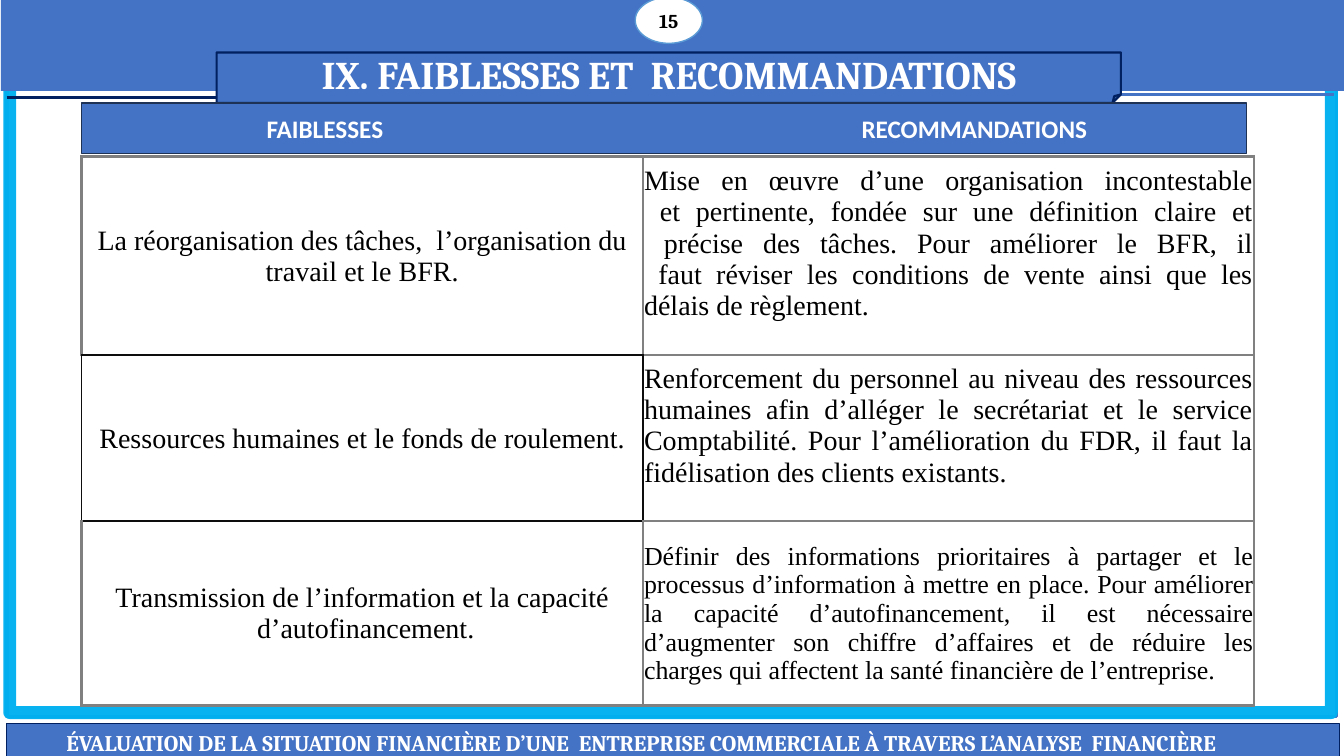
from dataclasses import dataclass

from lxml.etree import SubElement
from pptx import Presentation
from pptx.dml.color import RGBColor
from pptx.enum.shapes import MSO_CONNECTOR as CONN, MSO_SHAPE as SHAPE
from pptx.enum.text import MSO_ANCHOR as ANCHOR, PP_ALIGN as ALIGN
from pptx.oxml.ns import qn
from pptx.util import Pt


@dataclass(frozen=True)
class Theme:
    blue: str = "4472C4"
    navy: str = "002060"
    bar_edge: str = "1E3256"
    cyan: str = "00B0F0"
    badge_edge: str = "5B9BD5"
    grey: str = "808080"
    dark: str = "0D0D0D"
    white: str = "FFFFFF"
    black: str = "000000"
    serif: str = "Cambria"
    sans: str = "Calibri"
    body: str = "Times New Roman"
    title_size: float = 28
    body_size: float = 20
    small_body_size: float = 18.5
    heading_size: float = 18
    footer_size: float = 16
    badge_size: float = 14


T = Theme()

# Weakness, recommendation, recommendation size, row height, space below it
ROWS = [
    ("La réorganisation des tâches,  l’organisation du travail et le BFR.",
     "Mise en œuvre d’une organisation incontestable\n"
     " et pertinente, fondée sur une définition claire et\n"
     " précise des tâches. Pour améliorer le BFR, il\n"
     " faut réviser les conditions de vente ainsi que les délais de règlement.",
     T.body_size, 142, 18),
    ("Ressources humaines et le fonds de roulement.",
     "Renforcement du personnel au niveau des ressources humaines afin "
     "d’alléger le secrétariat et le service Comptabilité. Pour "
     "l’amélioration du FDR, il faut la fidélisation des clients existants.",
     T.body_size, 118.5, 18),
    ("Transmission de l’information et la capacité\n d’autofinancement.",
     "Définir des informations prioritaires à partager et le processus "
     "d’information à mettre en place. Pour améliorer la capacité "
     "d’autofinancement, il est nécessaire d’augmenter son chiffre "
     "d’affaires et de réduire les charges qui affectent la santé "
     "financière de l’entreprise.",
     T.small_body_size, 132, 0),
]
# Sides drawn thin and dark, by (row, column)
THIN_SIDES = {(0, 0): "B", (1, 0): "LRTB", (2, 0): "T", (1, 1): "L"}


def rgb(color):
    return RGBColor.from_string(color)


def add_box(slide, kind, box, fill=None, line=None, width=1):
    sp = slide.shapes.add_shape(kind, *map(Pt, box))
    sp.shadow.inherit = False
    if fill:
        sp.fill.solid()
        sp.fill.fore_color.rgb = rgb(fill)
    else:
        sp.fill.background()
    if line:
        sp.line.color.rgb = rgb(line)
        sp.line.width = Pt(width)
    else:
        sp.line.fill.background()
    return sp


def add_line(slide, start, end, color):
    cn = slide.shapes.add_connector(CONN.STRAIGHT, *map(Pt, start + end))
    cn.line.color.rgb = rgb(color)
    cn.line.width = Pt(2.25)
    SubElement(cn._element.spPr, qn("a:effectLst"))


def write(tf, text, font, size, color, bold=False, align=ALIGN.CENTER):
    """Fill the first paragraph, with a line break at each newline."""
    tf.word_wrap = True
    p = tf.paragraphs[0]
    p.alignment = align
    for i, part in enumerate(text.split("\n")):
        if i:
            p.add_line_break()
        r = p.add_run()
        r.text = part
        r.font.name = font
        r.font.size = Pt(size)
        r.font.bold = bold
        r.font.color.rgb = rgb(color)
    return p


def label(sp, text, font, size, color, align=ALIGN.CENTER):
    sp.text_frame.vertical_anchor = ANCHOR.MIDDLE
    return write(sp.text_frame, text, font, size, color, True, align)


def add_frame(slide, box):
    x, y, w, h = box
    add_box(slide, SHAPE.RECTANGLE, (x - 2, y + 18, w + 6, h - 15),
            line=T.blue, width=2.25)
    border = add_box(slide, SHAPE.RECTANGLE, box, line=T.cyan, width=9.25)
    color = border.line._ln.find(".//" + qn("a:srgbClr"))
    SubElement(color, qn("a:alpha"), val="97000")


def add_header(slide, box):
    x, y, w, h = box
    rule_y = y + h + 2.5
    add_line(slide, (x + 685, rule_y), (x + 952, rule_y), T.blue)
    add_line(slide, (x + 4, rule_y + 2), (x + 215, rule_y + 2), T.navy)
    add_box(slide, SHAPE.RECTANGLE, box, T.blue)
    title = add_box(slide, SHAPE.FOLDED_CORNER, (x + 154, y + 40.5, 646, 36),
                    T.blue, T.navy, 1.5)
    label(title, "IX. FAIBLESSES ET  RECOMMANDATIONS",
          T.serif, T.title_size, T.white)
    badge = add_box(slide, SHAPE.OVAL, (x + 453, y + 1, 48, 33),
                    T.white, T.badge_edge)
    label(badge, "15", T.serif, T.badge_size, T.black)


def add_headings(slide, box):
    bar = add_box(slide, SHAPE.RECTANGLE, box, T.blue, T.bar_edge)
    p = label(bar, "\tFAIBLESSES\tRECOMMANDATIONS",
              T.sans, T.heading_size, T.white, ALIGN.LEFT)
    tabs = SubElement(p._p.get_or_add_pPr(), qn("a:tabLst"))
    for stop in (125, 550):
        SubElement(tabs, qn("a:tab"), pos=str(Pt(stop)), algn="l")


def set_borders(cell, thin):
    tc_pr = cell._tc.get_or_add_tcPr()
    for side in "LRTB":
        color, width = (T.dark, 1) if side in thin else (T.grey, 2.25)
        ln = SubElement(tc_pr, qn("a:ln" + side), w=str(Pt(width)))
        fill = SubElement(ln, qn("a:solidFill"))
        SubElement(fill, qn("a:srgbClr"), val=color)


def add_findings(slide, box):
    x, y, w, h = box
    tbl = slide.shapes.add_table(len(ROWS), 2, *map(Pt, box)).table
    tbl.first_row = tbl.horz_banding = False
    tbl.columns[0].width = Pt(401)
    tbl.columns[1].width = Pt(w - 401)
    for i, (weakness, advice, size, height, below) in enumerate(ROWS):
        tbl.rows[i].height = Pt(height)
        parts = ((weakness, T.body_size, ALIGN.CENTER, 0),
                 (advice, size, ALIGN.JUSTIFY, below))
        for j, (text, text_size, align, bottom) in enumerate(parts):
            cell = tbl.cell(i, j)
            cell.margin_left = cell.margin_right = cell.margin_top = Pt(0.75)
            cell.margin_bottom = Pt(bottom)
            cell.vertical_anchor = ANCHOR.MIDDLE
            set_borders(cell, THIN_SIDES.get((i, j), ""))
            cell.fill.background()
            write(cell.text_frame, text, T.body, text_size, T.black,
                  align=align)


def add_footer(slide, box):
    bar = add_box(slide, SHAPE.RECTANGLE, box, T.blue, T.navy, 0.75)
    p = label(bar, "ÉVALUATION DE LA SITUATION FINANCIÈRE D’UNE  ENTREPRISE "
              "COMMERCIALE À TRAVERS L’ANALYSE  FINANCIÈRE",
              T.serif, T.footer_size, T.white, ALIGN.LEFT)
    p._p.get_or_add_pPr().set("indent", str(Pt(35.4)))


def main():
    prs = Presentation()
    prs.slide_width, prs.slide_height = Pt(960), Pt(540)
    slide = prs.slides.add_slide(prs.slide_layouts[6])
    add_footer(slide, (5, 517, 952, 26.5))
    add_frame(slide, (7, -4.5, 944, 513.5))
    add_findings(slide, (58.3, 111.6, 837.4, 392.5))
    add_header(slide, (0.7, -3, 960, 68))
    add_headings(slide, (58.3, 73.5, 832.3, 36))
    prs.save("out.pptx")


if __name__ == "__main__":
    main()
